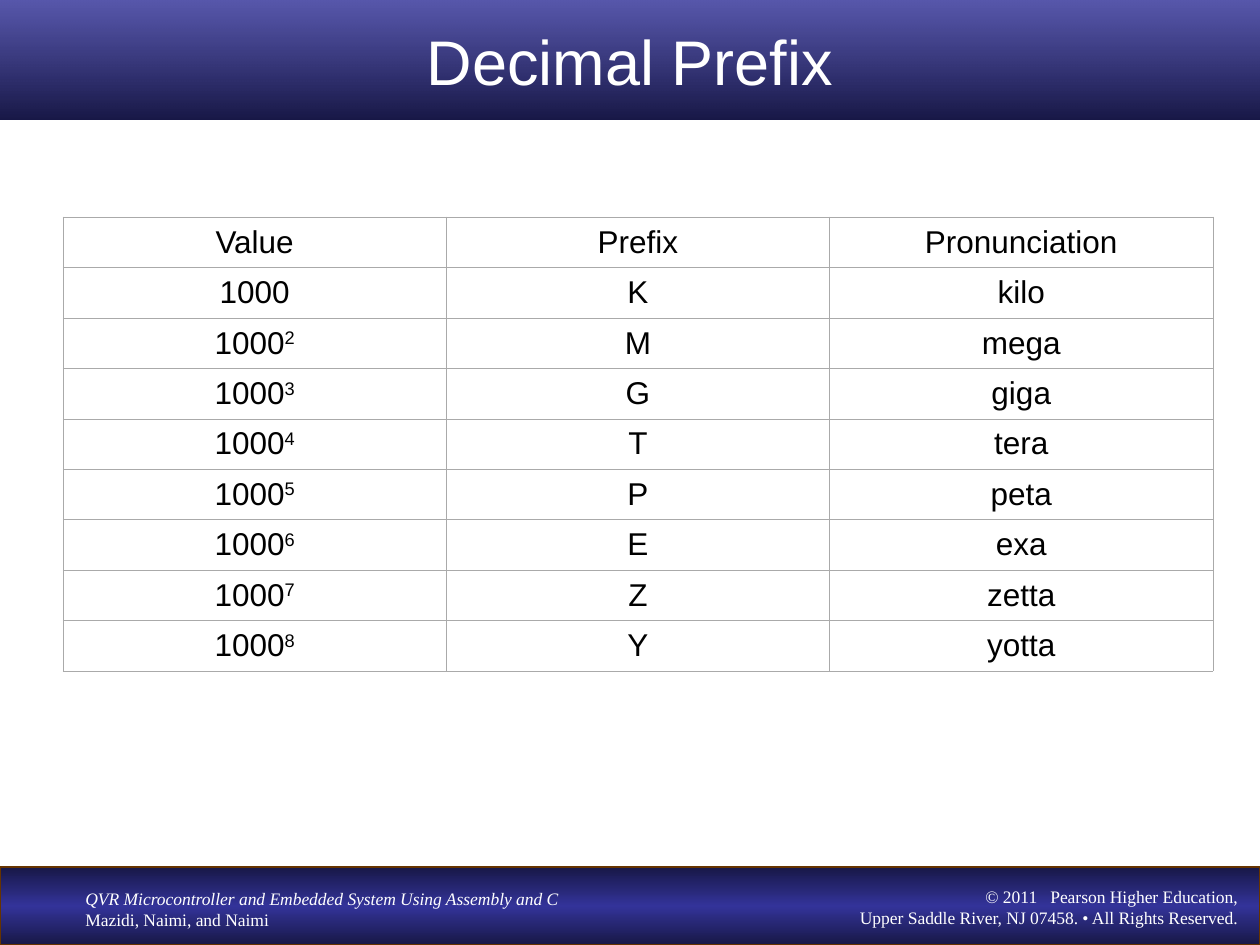
from lxml.etree import SubElement
from pptx import Presentation
from pptx.dml.color import RGBColor
from pptx.enum.shapes import MSO_SHAPE as Shape
from pptx.enum.text import MSO_ANCHOR as Anchor, MSO_AUTO_SIZE as AutoSize, PP_ALIGN as Align
from pptx.oxml.ns import qn
from pptx.util import Emu, Pt

EMU_PER_PX = 914400 / 126
SANS, SERIF = "Arial", "Times New Roman"
NAVY, INDIGO, WHITE, BLACK = "181847", "333399", "FFFFFF", "000000"
BORDER, BROWN = "AAAAAA", "663300"

HEADERS = ["Value", "Prefix", "Pronunciation"]
PREFIXES = [("K", "kilo"), ("M", "mega"), ("G", "giga"), ("T", "tera"),
            ("P", "peta"), ("E", "exa"), ("Z", "zetta"), ("Y", "yotta")]


def px(length):
    return Emu(round(length * EMU_PER_PX))


def color(value):
    return RGBColor.from_string(value)


def add_run(paragraph, text, size, font, ink, italic=False, superscript=False):
    run = paragraph.add_run()
    run.text = text
    run.font.size = Pt(size)
    run.font.name = font
    run.font.italic = italic
    run.font.color.rgb = color(ink)
    if superscript:
        run.font._element.set("baseline", "30000")


def fill_gradient(shape, stops):
    """Fill from top to bottom with (position %, colour, opacity %) stops."""
    shape.fill.gradient()
    gradient = shape._element.spPr.find(qn("a:gradFill"))
    for child in list(gradient):
        gradient.remove(child)
    stop_list = SubElement(gradient, qn("a:gsLst"))
    for position, value, opacity in stops:
        stop = SubElement(stop_list, qn("a:gs"), pos=str(position * 1000))
        tone = SubElement(stop, qn("a:srgbClr"), val=value)
        if opacity < 100:
            SubElement(tone, qn("a:alpha"), val=str(opacity * 1000))
    SubElement(gradient, qn("a:lin"), ang="5400000", scaled="0")


def add_band(slide, top, height, stops, line=None):
    band = slide.shapes.add_shape(Shape.RECTANGLE, 0, px(top), px(1260), px(height))
    band.shadow.inherit = False
    fill_gradient(band, stops)
    if line:
        band.line.color.rgb = color(line)
        band.line.width = Pt(0.75)
    else:
        band.line.fill.background()
    return band


def add_title(band, text):
    band.text_frame.vertical_anchor = Anchor.MIDDLE
    paragraph = band.text_frame.paragraphs[0]
    paragraph.alignment = Align.CENTER
    add_run(paragraph, text, 36, SANS, WHITE)


def add_footer_box(slide, left, top, width):
    """Add a two-line footer box and return its text frame."""
    box = slide.shapes.add_textbox(px(left), px(top), px(width), px(55))
    frame = box.text_frame
    frame.word_wrap = True
    frame.auto_size = AutoSize.SHAPE_TO_FIT_TEXT
    return frame


def add_book_credit(slide):
    frame = add_footer_box(slide, 73, 882, 522)
    add_run(frame.paragraphs[0], "QVR Microcontroller and Embedded System Using Assembly and C",
            10, SERIF, WHITE, italic=True)
    add_run(frame.add_paragraph(), "Mazidi, Naimi, and Naimi", 10, SERIF, WHITE)


def add_copyright(slide):
    paragraph = add_footer_box(slide, 724, 880, 526).paragraphs[0]
    paragraph.alignment = Align.RIGHT
    add_run(paragraph, "© 2011   Pearson Higher Education,", 10, SERIF, WHITE)
    paragraph.add_line_break()
    add_run(paragraph, "Upper Saddle River, NJ 07458. • All Rights Reserved.", 10, SERIF, WHITE)


def style_cell(cell):
    properties = cell._tc.get_or_add_tcPr()
    for side in ("lnL", "lnR", "lnT", "lnB"):
        line = SubElement(properties, qn(f"a:{side}"), w=str(Pt(0.34)))
        solid = SubElement(line, qn("a:solidFill"))
        SubElement(solid, qn("a:srgbClr"), val=BORDER)
    cell.fill.background()
    cell.vertical_anchor = Anchor.MIDDLE


def add_prefix_table(slide):
    rows = [(header, "") for header in HEADERS], *(
        [("1000", str(power) if power > 1 else ""), (symbol, ""), (name, "")]
        for power, (symbol, name) in enumerate(PREFIXES, start=1))
    frame = slide.shapes.add_table(len(rows), len(HEADERS), px(63), px(217), px(1150), px(454))
    table = frame.table
    table.first_row = table.horz_banding = False
    for row, entries in enumerate(rows):
        for column, (text, exponent) in enumerate(entries):
            cell = table.cell(row, column)
            style_cell(cell)
            paragraph = cell.text_frame.paragraphs[0]
            paragraph.alignment = Align.CENTER
            add_run(paragraph, text, 18, SANS, BLACK)
            if exponent:
                add_run(paragraph, exponent, 18, SANS, BLACK, superscript=True)


def main():
    presentation = Presentation()
    presentation.slide_width, presentation.slide_height = px(1260), px(945)
    slide = presentation.slides.add_slide(presentation.slide_layouts[6])
    add_band(slide, 867, 78, [(0, NAVY, 100), (50, INDIGO, 100), (100, NAVY, 100)], BROWN)
    add_book_credit(slide)
    add_copyright(slide)
    title_band = add_band(slide, 0, 120, [(0, INDIGO, 82), (100, NAVY, 100)])
    add_title(title_band, "Decimal Prefix")
    add_prefix_table(slide)
    presentation.save("out.pptx")


if __name__ == "__main__":
    main()
